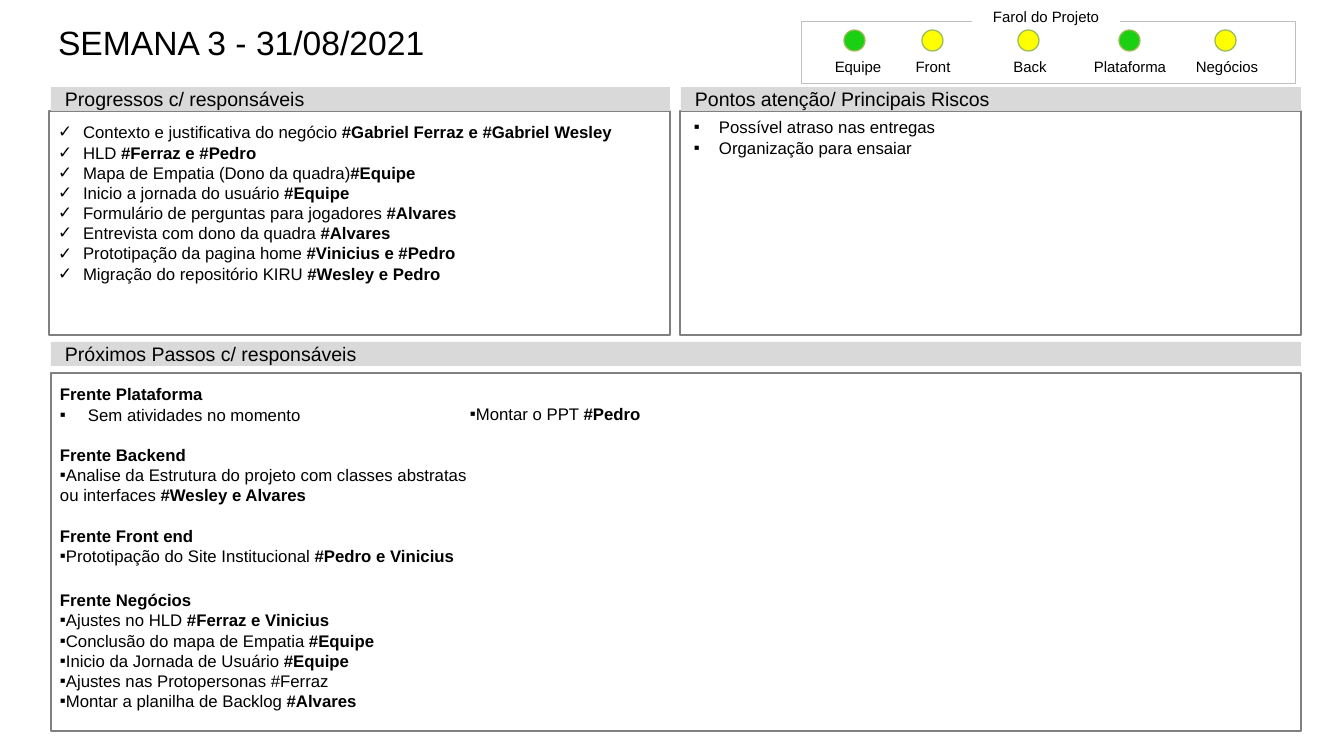
from dataclasses import dataclass

from lxml import etree
from pptx import Presentation
from pptx.dml.color import RGBColor
from pptx.enum.shapes import MSO_SHAPE
from pptx.enum.text import MSO_ANCHOR, MSO_AUTO_SIZE, PP_ALIGN
from pptx.oxml.ns import qn
from pptx.util import Pt

RECT, OVAL = MSO_SHAPE.RECTANGLE, MSO_SHAPE.OVAL
TOP, MID, LOW = MSO_ANCHOR.TOP, MSO_ANCHOR.MIDDLE, MSO_ANCHOR.BOTTOM
LEFT, MIDST = PP_ALIGN.LEFT, PP_ALIGN.CENTER
FIXED = MSO_AUTO_SIZE.NONE
SCALE = 914400 / 91.4
WIDE, HIGH = 1344, 756


@dataclass(frozen=True)
class Theme:
    font: str = "Arial"
    ink: str = "000000"
    bar: str = "D9D9D9"
    edge: str = "808080"
    frame: str = "BFBFBF"
    ring: str = "9BBB59"
    paper: str = "FFFFFF"
    green: str = "1BCF13"
    yellow: str = "FFFF00"
    title: float = 26.5
    head: float = 15.4
    body: float = 13.2
    label: float = 11.8
    pitch: float = 15.9


THEME = Theme()

# Status lights: name, colour, label left, dot left
LIGHTS = [
    ("Equipe", THEME.green, 813, 844),
    ("Front", THEME.yellow, 888, 922),
    ("Back", THEME.yellow, 985, 1018),
    ("Plataforma", THEME.green, 1085, 1119),
    ("Negócios", THEME.yellow, 1182, 1215),
]

# List items: plain part, bold part
DONE = [
    ("Contexto e justificativa do negócio ", "#Gabriel Ferraz e #Gabriel Wesley"),
    ("HLD ", "#Ferraz e #Pedro"),
    ("Mapa de Empatia (Dono da quadra)", "#Equipe"),
    ("Inicio a jornada do usuário ", "#Equipe"),
    ("Formulário de perguntas para jogadores ", "#Alvares"),
    ("Entrevista com dono da quadra", " #Alvares"),
    ("Prototipação da pagina home ", "#Vinicius e #Pedro"),
    ("Migração do repositório KIRU ", "#Wesley e Pedro"),
]
RISKS = [("Possível atraso nas entregas", ""), ("Organização para ensaiar", "")]

# Fronts: name, gap above in points, text margin of the items, items
FRONTS = [
    ("Frente Plataforma", 0, 28, [("Sem atividades no momento", "")]),
    ("Frente Backend", 15.9, 0, [
        ("Analise da Estrutura do projeto com classes abstratas ou interfaces ",
         "#Wesley e Alvares")]),
    ("Frente Front end", 15.9, 0, [
        ("Prototipação do Site Institucional ", "#Pedro e Vinicius")]),
    ("Frente Negócios", 19, 0, [
        ("Ajustes no HLD ", "#Ferraz e Vinicius"),
        ("Conclusão do mapa de Empatia ", "#Equipe"),
        ("Inicio da Jornada de Usuário ", "#Equipe"),
        ("Ajustes nas Protopersonas #Ferraz", ""),
        ("Montar a planilha de Backlog ", "#Alvares")]),
]


def px(num):
    return round(num * SCALE)


def place(shape, box):
    shape.left, shape.top, shape.width, shape.height = map(px, box)


def paint(shape, fill=None, line=None, weight=1):
    if fill:
        shape.fill.solid()
        shape.fill.fore_color.rgb = RGBColor.from_string(fill)
    else:
        shape.fill.background()
    if line:
        shape.line.color.rgb = RGBColor.from_string(line)
        shape.line.width = Pt(weight)
    else:
        shape.line.fill.background()


def add_form(slide, kind, box, fill=None, line=None, weight=1):
    shape = slide.shapes.add_shape(kind, *map(px, box))
    shape.shadow.inherit = False
    paint(shape, fill, line, weight)
    return shape


def set_frame(shape, pads, anchor=TOP, wrap=True):
    frame = shape.text_frame
    frame.auto_size = FIXED
    frame.word_wrap = wrap
    frame.vertical_anchor = anchor
    (frame.margin_left, frame.margin_top,
     frame.margin_right, frame.margin_bottom) = map(px, pads)
    return frame


def add_run(para, text, size, bold=False):
    run = para.add_run()
    run.text = text
    run.font.name = THEME.font
    run.font.size = Pt(size)
    run.font.bold = bold
    run.font.color.rgb = RGBColor.from_string(THEME.ink)


def put_text(frame, text, size, align=LEFT):
    para = frame.paragraphs[0]
    para.alignment = align
    add_run(para, text, size)


def add_para(frame, plain, bold, gap=0):
    para = frame.paragraphs[0]
    if para.runs:
        para = frame.add_paragraph()
    para.alignment = LEFT
    para.line_spacing = Pt(THEME.pitch)
    para.space_before = Pt(gap)
    para.space_after = Pt(0)
    for text, heavy in ((plain, False), (bold, True)):
        if text:
            add_run(para, text, THEME.body, heavy)
    return para


def add_items(frame, items, mark, margin, hang):
    for plain, bold in items:
        props = add_para(frame, plain, bold)._p.get_or_add_pPr()
        props.set("marL", str(px(margin)))
        props.set("indent", str(-px(hang)))
        etree.SubElement(props, qn("a:buFont")).set("typeface", THEME.font)
        etree.SubElement(props, qn("a:buChar")).set("char", mark)


def add_bar(slide, text, left, top, width):
    bar = add_form(slide, RECT, (left, top, width, 24), THEME.bar)
    put_text(set_frame(bar, (14, 0, 14, 0), MID), text, THEME.head)


def add_panel(holder, box, pads, items, mark):
    place(holder, box)
    paint(holder, line=THEME.edge)
    add_items(set_frame(holder, pads), items, mark, 25, 25)


def add_label(shape, text):
    frame = set_frame(shape, (5, 5, 5, 0), LOW, False)
    put_text(frame, text, THEME.label, MIDST)


def add_lights(slide):
    add_form(slide, RECT, (801, 21, 494, 62), line=THEME.frame, weight=0.5)
    add_label(add_form(slide, RECT, (972, 5, 148, 21), THEME.paper), "Farol do Projeto")
    for name, color, left, dot in LIGHTS:
        add_form(slide, OVAL, (dot, 30, 21, 21), color, THEME.ring)
        add_label(slide.shapes.add_textbox(px(left), px(58), px(90), px(18)), name)


def add_steps(slide):
    panel = add_form(slide, RECT, (51, 373, 1250, 358), line=THEME.edge)
    frame = set_frame(panel, (9, 11, 830, 5))
    for name, gap, margin, items in FRONTS:
        add_para(frame, "", name, gap)
        add_items(frame, items, "▪", margin, margin or 26)
    # Second column
    side = slide.shapes.add_textbox(px(470), px(404), px(410), px(22))
    add_items(set_frame(side, (0, 0, 0, 0)), [("Montar o PPT ", "#Pedro")], "▪", 0, 26)


def main():
    deck = Presentation()
    deck.slide_width, deck.slide_height = px(WIDE), px(HIGH)
    slide = deck.slides.add_slide(deck.slide_layouts[3])
    title, done, risks = slide.placeholders

    # Heading and project status
    place(title, (47, 18, 1209, 81))
    put_text(set_frame(title, (11, 4, 11, 0)), "SEMANA 3 - 31/08/2021", THEME.title)
    add_lights(slide)

    # Progress and risks
    add_bar(slide, "Progressos c/ responsáveis", 51, 87, 619)
    add_bar(slide, "Pontos atenção/ Principais Riscos", 681, 87, 620)
    add_panel(done, (49, 111, 621, 224), (9, 11, 9, 5), DONE, "✓")
    add_panel(risks, (680, 111, 621, 224), (14, 6, 9, 5), RISKS, "▪")

    # Next steps
    add_bar(slide, "Próximos Passos c/ responsáveis", 51, 342, 1250)
    add_steps(slide)
    deck.save("out.pptx")


main()
